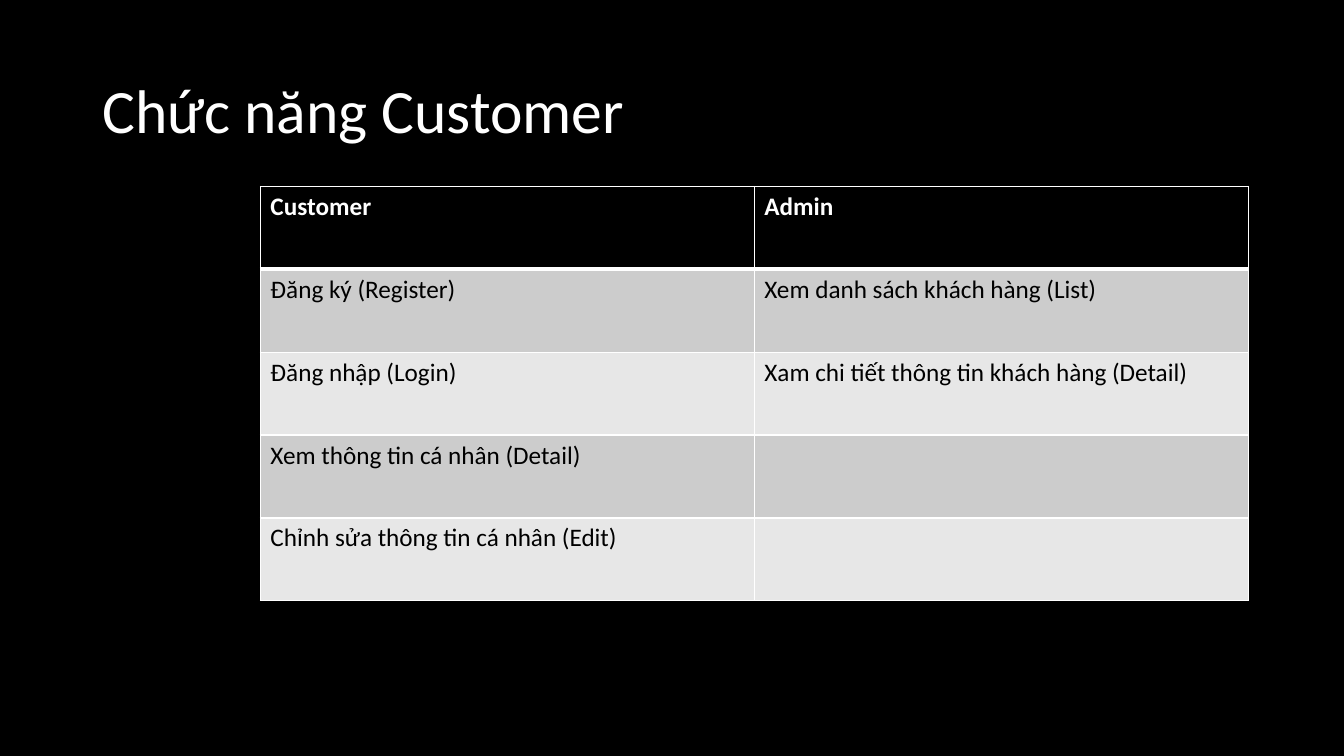
"""Build the slide listing customer and admin functions in a table."""
from dataclasses import dataclass

from lxml import etree
from pptx import Presentation
from pptx.dml.color import RGBColor
from pptx.enum.text import MSO_ANCHOR
from pptx.oxml.ns import qn
from pptx.util import Pt

MIDDLE = MSO_ANCHOR.MIDDLE


@dataclass(frozen=True)
class Theme:
    font: str = "Calibri"
    dark: str = "000000"
    light: str = "FFFFFF"
    odd_band: str = "CCCCCC"
    even_band: str = "E7E7E7"
    title_size: int = 44
    cell_size: int = 18


theme = Theme()


def add_run(p, text, size, color, bold=False):
    r = p.add_run()
    r.text = text
    r.font.name = theme.font
    r.font.size = Pt(size)
    r.font.bold = bold
    r.font.color.rgb = RGBColor.from_string(color)


def set_borders(cell, widths):
    tc_pr = cell._tc.get_or_add_tcPr()
    for i, (side, width) in enumerate(widths.items()):
        ln = etree.Element(qn(f"a:ln{side}"), w=str(Pt(width)))
        fill = etree.SubElement(ln, qn("a:solidFill"))
        etree.SubElement(fill, qn("a:srgbClr"), val=theme.light)
        tc_pr.insert(i, ln)


prs = Presentation()
prs.slide_width = Pt(960)
prs.slide_height = Pt(540)
s = prs.slides.add_slide(prs.slide_layouts[6])
s.background.fill.solid()
s.background.fill.fore_color.rgb = RGBColor.from_string(theme.dark)

title = s.shapes.add_textbox(Pt(66), Pt(28.75), Pt(828), Pt(104.4))
tf = title.text_frame
tf.word_wrap = True
tf.vertical_anchor = MIDDLE
p = tf.paragraphs[0]
p.line_spacing = 0.9
add_run(p, "Chức năng Customer", theme.title_size, theme.light)

functions = [
    ("Customer", "Admin"),
    ("Đăng ký (Register)", "Xem danh sách khách hàng (List)"),
    ("Đăng nhập (Login)", "Xam chi tiết thông tin khách hàng (Detail)"),
    ("Xem thông tin cá nhân (Detail)", ""),
    ("Chỉnh sửa thông tin cá nhân (Edit)", ""),
]
table = s.shapes.add_table(
    len(functions), 2, Pt(186), Pt(133.2), Pt(705.6), Pt(296)
).table

for row, texts in enumerate(functions):
    header = row == 0
    band = theme.odd_band if row % 2 else theme.even_band
    for col, text in enumerate(texts):
        cell = table.cell(row, col)
        cell.fill.solid()
        cell.fill.fore_color.rgb = RGBColor.from_string(theme.dark if header else band)
        set_borders(cell, {"L": 1, "R": 1, "T": 3 if row == 1 else 1, "B": 3 if header else 1})
        p = cell.text_frame.paragraphs[0]
        p.font.size = Pt(theme.cell_size)
        if text:
            add_run(p, text, theme.cell_size, theme.light if header else theme.dark, header)

prs.save("out.pptx")
